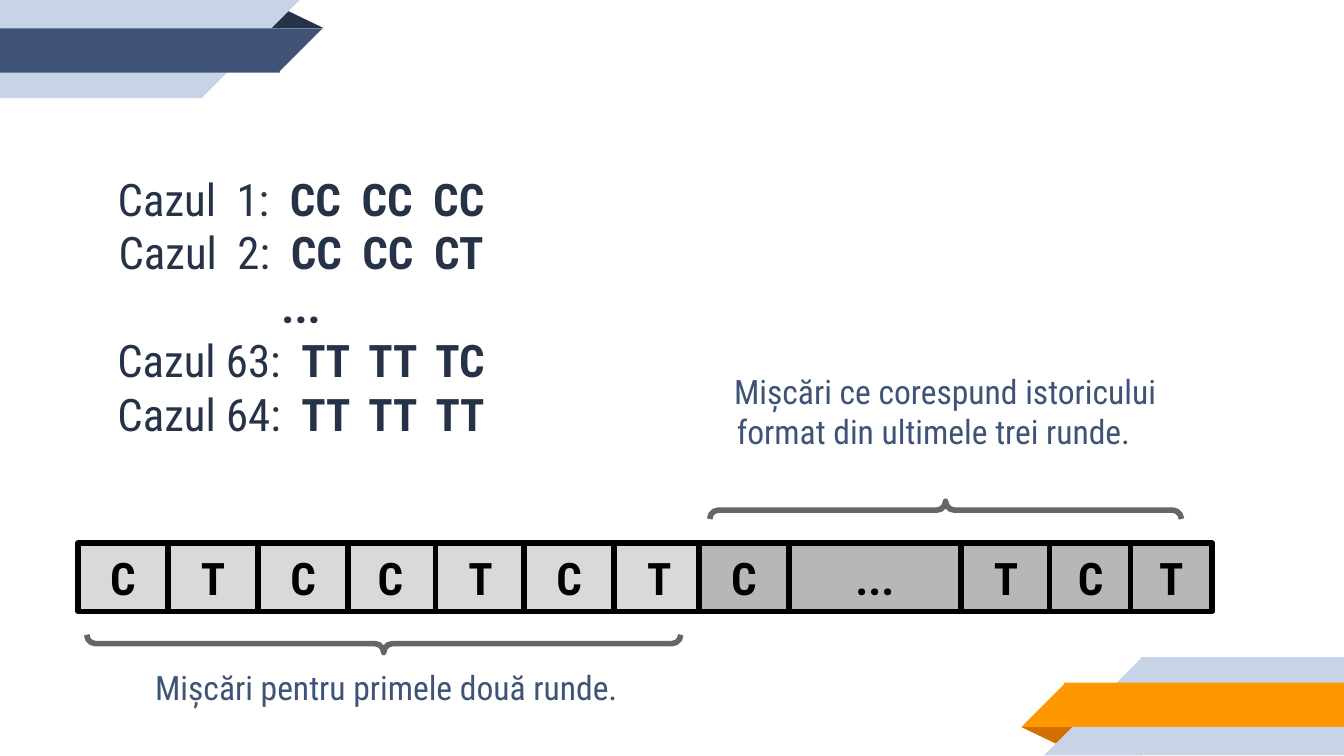
"""Build the slide on move histories encoded as a chromosome."""
from lxml import etree
from pptx import Presentation
from pptx.dml.color import RGBColor
from pptx.enum.shapes import MSO_SHAPE
from pptx.enum.text import MSO_ANCHOR, MSO_AUTO_SIZE, PP_ALIGN
from pptx.oxml.ns import qn
from pptx.util import Inches, Pt

NAVY = RGBColor(0x26, 0x32, 0x48)
BLUE = RGBColor(0x3F, 0x53, 0x78)
PALE = RGBColor(0xC7, 0xD3, 0xE6)
ORANGE = RGBColor(0xFF, 0x98, 0x00)
RUST = RGBColor(0xD2, 0x6F, 0x00)
GRAY = RGBColor(0x66, 0x66, 0x66)
LIGHT = RGBColor(0xD9, 0xD9, 0xD9)
MID = RGBColor(0xB7, 0xB7, 0xB7)
BLACK = RGBColor(0, 0, 0)
FONT = "Roboto Condensed"

RECT, CORNER, FOLD = MSO_SHAPE.RECTANGLE, MSO_SHAPE.RIGHT_TRIANGLE, MSO_SHAPE.ISOSCELES_TRIANGLE
RIBBONS = [
    (FOLD, (7.6, 5.41, 0.43, 0.14), 180, False, RUST),
    (RECT, (8.49, 4.89, 1.51, 0.73), 0, True, PALE),
    (CORNER, (7.77, 4.89, 0.73, 0.73), 0, True, PALE),
    (RECT, (7.92, 5.08, 2.08, 0.33), 0, True, ORANGE),
    (CORNER, (7.6, 5.08, 0.33, 0.33), 0, True, ORANGE),
    (FOLD, (1.98, 0.07, 0.43, 0.14), 0, False, NAVY),
    (RECT, (0, 0, 1.51, 0.73), 180, True, PALE),
    (CORNER, (1.5, 0, 0.73, 0.73), 180, True, PALE),
    (RECT, (0, 0.21, 2.08, 0.33), 180, True, BLUE),
    (CORNER, (2.07, 0.21, 0.33, 0.33), 180, True, BLUE),
]
BRACES = [(6.64, 2.37, 0.79, 3.51), (2.46, 2.25, 0.79, 4.42)]
CASES = [
    ("Cazul  1:  ", "CC  CC  CC"),
    ("Cazul  2:  ", "CC  CC  CT"),
    ("", "..."),
    ("Cazul 63:  ", "TT  TT  TC"),
    ("Cazul 64:  ", "TT  TT  TT"),
]
MOVES = [
    ("C", 2.57, 0.67, LIGHT), ("T", 3.24, 0.67, LIGHT), ("C", 3.9, 0.67, LIGHT),
    ("T", 4.57, 0.67, LIGHT), ("...", 5.87, 1.28, MID), ("T", 7.15, 0.67, MID),
    ("C", 7.81, 0.61, MID), ("T", 8.41, 0.61, MID), ("C", 5.2, 0.67, MID),
    ("C", 0.58, 0.67, LIGHT), ("T", 1.25, 0.67, LIGHT), ("C", 1.92, 0.67, LIGHT),
]
CAPTIONS = [
    (" Mișcări pentru primele două runde.  ", (0.58, 4.86, 4.65, 0.71)),
    (" Mișcări ce corespund istoricului format din ultimele trei runde.  ",
     (4.99, 2.66, 4.03, 0.88)),
]


def add_preset(kind, box, fill=None, line=None, width=0):
    shape = slide.shapes.add_shape(kind, *map(Inches, box))
    shape.shadow.inherit = False
    for part, color in ((shape.fill, fill), (shape.line.fill, line)):
        if color is None:
            part.background()
        else:
            part.solid()
            part.fore_color.rgb = color
    if line is not None:
        shape.line.width = Pt(width)
    return shape


def set_frame(frame, anchor, side):
    margins = {"margin_left": 0.1, "margin_right": 0.1, "margin_top": side, "margin_bottom": side}
    for name, value in margins.items():
        setattr(frame, name, Inches(value))
    for name, value in {"word_wrap": True, "auto_size": MSO_AUTO_SIZE.NONE,
                        "vertical_anchor": anchor}.items():
        setattr(frame, name, value)


def add_words(paragraph, words, size, color, bold=False):
    paragraph.alignment = PP_ALIGN.CENTER
    run = paragraph.add_run()
    run.text = words
    for name, value in {"name": FONT, "size": Pt(size), "bold": bold}.items():
        setattr(run.font, name, value)
    run.font.color.rgb = color


prs = Presentation()
prs.slide_width = Inches(10)
prs.slide_height = prs.slide_width * 9 // 16
slide = prs.slides.add_slide(prs.slide_layouts[3])
title, *bodies = slide.placeholders
title.element.getparent().remove(title.element)

for kind, box, turn, flipped, color in RIBBONS:
    ribbon = add_preset(kind, box, color)
    ribbon.rotation = turn
    if flipped:
        ribbon.element.spPr.find(qn("a:xfrm")).set("flipH", "1")
    if kind == FOLD:
        ribbon.adjustments[0] = 0.324

for box in BRACES:
    add_preset(MSO_SHAPE.DOUBLE_BRACE, box, line=GRAY, width=3).rotation = 90

cases = slide.shapes.add_textbox(*map(Inches, (0.58, 1.08, 3.32, 2.39))).text_frame
set_frame(cases, MSO_ANCHOR.MIDDLE, 0.1)
for index, (label, history) in enumerate(CASES):
    paragraph = cases.add_paragraph() if index else cases.paragraphs[0]
    if label:
        add_words(paragraph, label, 24, NAVY)
    add_words(paragraph, history, 24, NAVY, True)

for move, left, width, color in MOVES:
    cell = add_preset(RECT, (left, 4.04, width, 0.51), color, BLACK, 2.89)
    set_frame(cell.text_frame, MSO_ANCHOR.MIDDLE, 0.05)
    add_words(cell.text_frame.paragraphs[0], move, 24, BLACK, True)

for body, (caption, box) in zip(bodies, CAPTIONS):
    for name, value in zip(("left", "top", "width", "height"), box):
        setattr(body, name, Inches(value))
    set_frame(body.text_frame, MSO_ANCHOR.TOP, 0.1)
    paragraph = body.text_frame.paragraphs[0]
    add_words(paragraph, caption, 18, BLUE)
    paragraph.space_before = Pt(6)
    properties = paragraph._p.get_or_add_pPr()
    properties.set("marL", "0")
    properties.set("indent", "0")
    etree.SubElement(properties, qn("a:buNone"))

prs.save("out.pptx")
